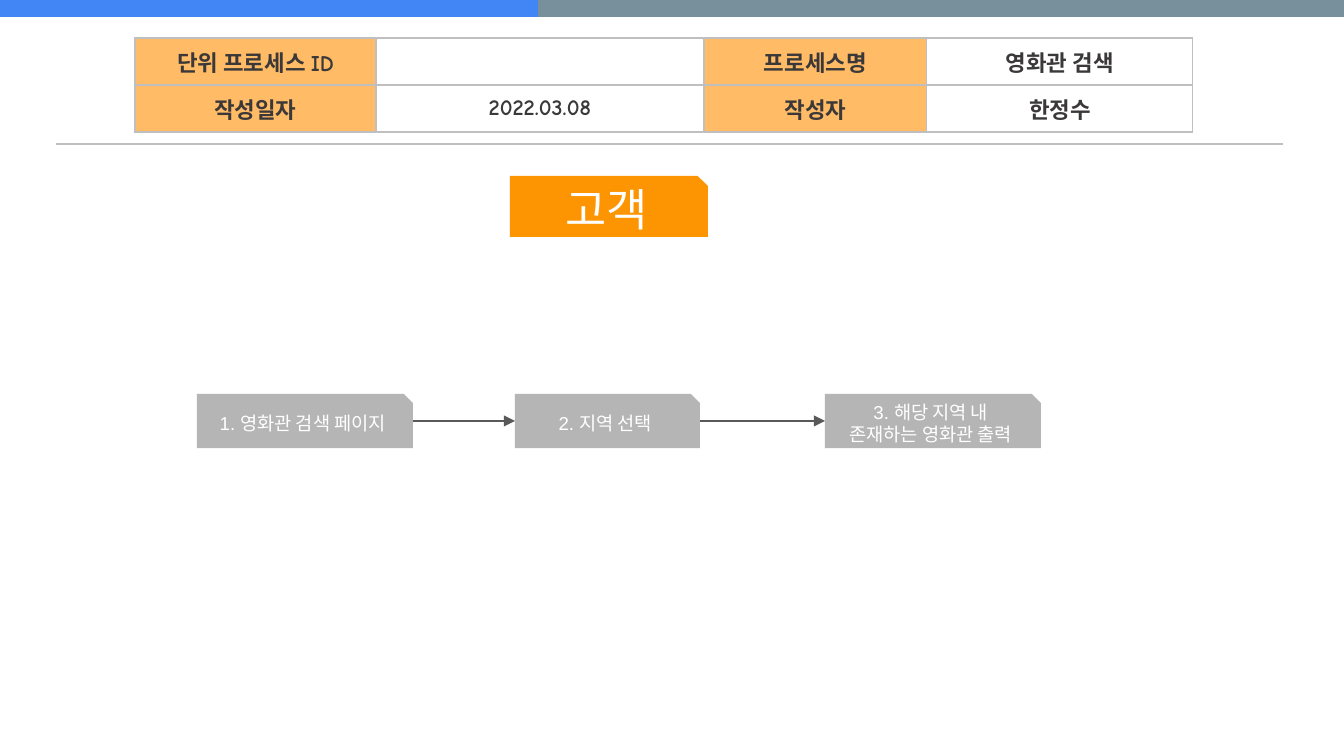
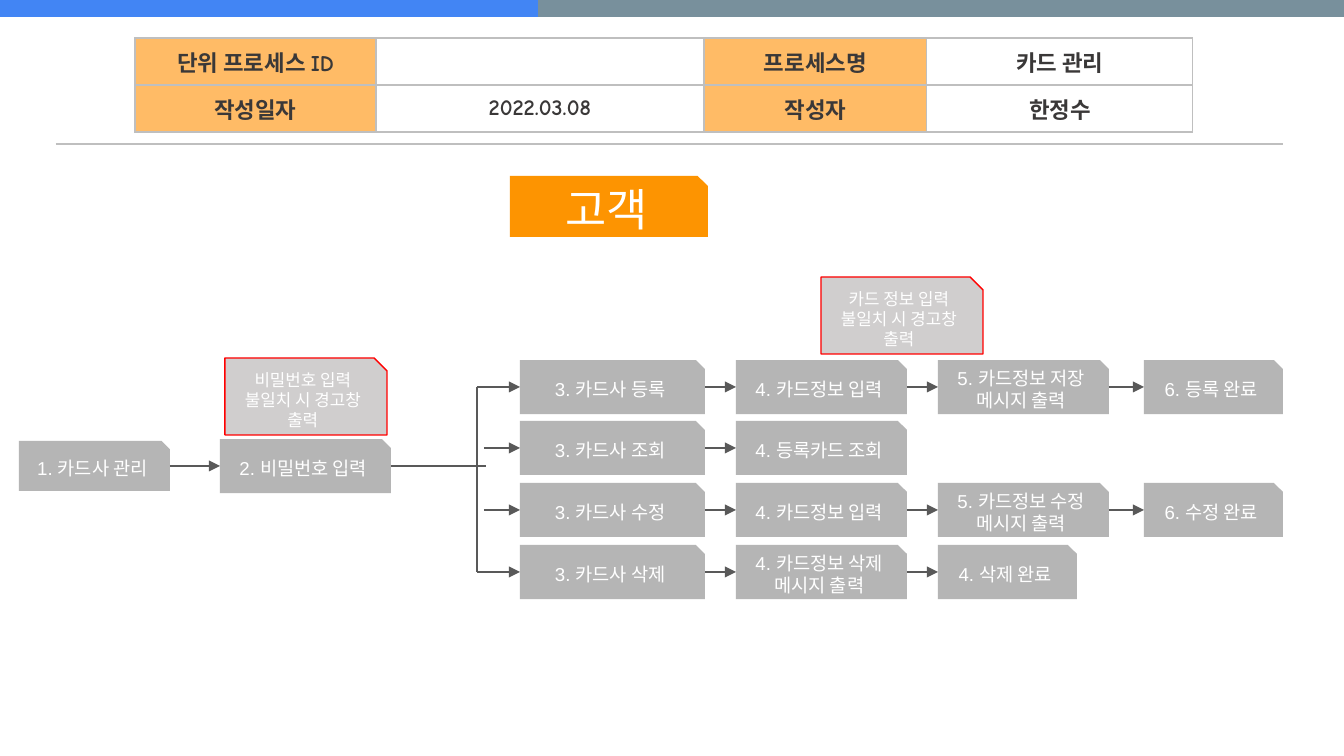
from dataclasses import dataclass
from itertools import pairwise

from lxml import etree
from pptx import Presentation
from pptx.dml.color import RGBColor
from pptx.enum.shapes import MSO_CONNECTOR, MSO_SHAPE
from pptx.enum.text import MSO_ANCHOR, PP_ALIGN
from pptx.oxml.ns import qn
from pptx.util import Emu, Pt

RECTANGLE = MSO_SHAPE.RECTANGLE
SNIPPED = MSO_SHAPE.SNIP_1_RECTANGLE
STRAIGHT = MSO_CONNECTOR.STRAIGHT
CENTER = PP_ALIGN.CENTER
MIDDLE = MSO_ANCHOR.MIDDLE
LEFT_SIDE, RIGHT_SIDE = 1, 3

COLORS = {
    "blue": "4285F4",
    "slate": "78909C",
    "rule": "BFBFBF",
    "label": "FFAB40",
    "white": "FFFFFF",
    "ink": "3A3838",
    "actor": "FD9401",
    "step": "B5B5B5",
    "warning": "D0CECE",
    "alert": "FF0000",
    "arrow": "595959",
}
BODY_FONT = "Arial"
TABLE_FONT = "Comic Neue"

# One px is 1/134.4 inch
SLIDE_W, SLIDE_H = 1344, 756
BAND_COLORS = ("blue", "blue", "slate", "slate", "slate")
BAND_H = 17
TABLE_COLUMNS = (241, 328, 223, 266)
TABLE_ROW_H = 47
STEP_H = 54


@dataclass(frozen=True)
class Box:
    left: int
    top: int
    width: int
    height: int
    text: str = ""
    fill: str = "step"
    size: int = 10
    outline: str | None = None


def px(value: float) -> Emu:
    return Emu(round(value * 914400 / 134.4))


def rgb(color: str) -> RGBColor:
    return RGBColor.from_string(COLORS[color])


def add_run(paragraph, text: str, size: int, font: str, color: str,
            bold: bool = False) -> None:
    paragraph.alignment = CENTER
    run = paragraph.add_run()
    run.text = text
    run.font.size = Pt(size)
    run.font.name = font
    run.font.bold = bold
    run.font.color.rgb = rgb(color)


def add_box(slide, box: Box, kind=SNIPPED):
    shape = slide.shapes.add_shape(
        kind, px(box.left), px(box.top), px(box.width), px(box.height))
    shape.shadow.inherit = False
    shape.fill.solid()
    shape.fill.fore_color.rgb = rgb(box.fill)
    if box.outline:
        shape.line.color.rgb = rgb(box.outline)
        shape.line.width = Pt(0.75)
    else:
        shape.line.fill.background()
    if box.text:
        frame = shape.text_frame
        frame.word_wrap = True
        frame.vertical_anchor = MIDDLE
        add_run(frame.paragraphs[0], box.text, box.size, BODY_FONT, "white")
    return shape


def add_line(slide, start: tuple[int, int], end: tuple[int, int],
             color: str = "arrow", width: float = 0.75, arrow: bool = False,
             source=None, target=None) -> None:
    line = slide.shapes.add_connector(
        STRAIGHT, px(start[0]), px(start[1]), px(end[0]), px(end[1]))
    if source is not None:
        line.begin_connect(source, RIGHT_SIDE)
    if target is not None:
        line.end_connect(target, LEFT_SIDE)
    line.line.color.rgb = rgb(color)
    line.line.width = Pt(width)
    properties = line._element.spPr
    if arrow:
        etree.SubElement(properties.find(qn("a:ln")), qn("a:tailEnd"),
                         type="triangle")
    etree.SubElement(properties, qn("a:effectLst"))


def add_flow(slide, steps: list[Box]) -> list:
    """Draw steps from left to right, joined by arrows."""
    shapes = [add_box(slide, step) for step in steps]
    for source, target in pairwise(shapes):
        add_line(slide, (0, 0), (0, 0), arrow=True, source=source, target=target)
    return shapes


def style_cell(cell, text: str, is_label: bool) -> None:
    cell.margin_left = cell.margin_right = px(11)
    cell.margin_top = cell.margin_bottom = px(5)
    cell.vertical_anchor = MIDDLE
    paragraph = cell.text_frame.paragraphs[0]
    if text:
        add_run(paragraph, text, 12, TABLE_FONT, "ink", bold=True)
    else:
        etree.SubElement(paragraph._p, qn("a:endParaRPr"), sz="1200")

    # Borders come before the fill
    properties = cell._tc.get_or_add_tcPr()
    for side in ("lnL", "lnR", "lnT", "lnB"):
        border = etree.SubElement(properties, qn(f"a:{side}"), w=str(Pt(0.75)))
        paint = etree.SubElement(border, qn("a:solidFill"))
        etree.SubElement(paint, qn("a:srgbClr"), val=COLORS["rule"])
    cell.fill.solid()
    cell.fill.fore_color.rgb = rgb("label" if is_label else "white")
    if is_label:
        color = properties.find(qn("a:solidFill")).find(qn("a:srgbClr"))
        etree.SubElement(color, qn("a:alpha"), val="80000")


def add_process_table(slide, process_name: str) -> None:
    rows = (
        ("단위 프로세스 ID", "", "프로세스명", process_name),
        ("작성일자", "2022.03.08", "작성자", "한정수"),
    )
    table = slide.shapes.add_table(
        len(rows), len(TABLE_COLUMNS), px(135), px(38),
        px(sum(TABLE_COLUMNS)), px(TABLE_ROW_H * len(rows))).table
    table.first_row = False
    table.horz_banding = False
    for column, width in zip(table.columns, TABLE_COLUMNS):
        column.width = px(width)
    for r, texts in enumerate(rows):
        table.rows[r].height = px(TABLE_ROW_H)
        for c, text in enumerate(texts):
            style_cell(table.cell(r, c), text, is_label=c % 2 == 0)


def add_process_slide(deck, process_name: str):
    """Add a slide with the shared band, table, rule and actor."""
    slide = deck.slides.add_slide(deck.slide_layouts[6])
    edges = [round(i * SLIDE_W / len(BAND_COLORS))
             for i in range(len(BAND_COLORS) + 1)]
    for (left, right), color in zip(pairwise(edges), BAND_COLORS):
        add_box(slide, Box(left, 0, right - left, BAND_H, fill=color), RECTANGLE)
    add_line(slide, (56, 144), (1283, 144), "rule", 1.5)
    add_process_table(slide, process_name)
    add_box(slide, Box(510, 176, 198, 61, "고객", "actor", 24))
    return slide


def build_theater_search(deck) -> None:
    slide = add_process_slide(deck, "영화관 검색")
    steps = (
        (197, 216, "1. 영화관 검색 페이지"),
        (515, 185, "2. 지역 선택"),
        (825, 216, "3. 해당 지역 내 존재하는 영화관 출력"),
    )
    add_flow(slide, [Box(left, 394, width, STEP_H, text)
                     for left, width, text in steps])


def build_card_management(deck) -> None:
    slide = add_process_slide(deck, "카드 관리")

    # Entry steps
    _, password = add_flow(slide, [
        Box(19, 441, 151, 50, "1. 카드사 관리"),
        Box(220, 439, 171, STEP_H, "2. 비밀번호 입력"),
    ])

    # One row of steps for each branch
    columns = ((520, 185), (736, 171), (938, 171), (1144, 139))
    branches = (
        ("3. 카드사 등록", "4. 카드정보 입력",
         "5. 카드정보 저장 메시지 출력", "6. 등록 완료"),
        ("3. 카드사 조회", "4. 등록카드 조회"),
        ("3. 카드사 수정", "4. 카드정보 입력",
         "5. 카드정보 수정 메시지 출력", "6. 수정 완료"),
        ("3. 카드사 삭제", "4. 카드정보 삭제 메시지 출력", "4. 삭제 완료"),
    )
    final_width = columns[-1][1]
    trunk_x, inner_x = 477, 484
    middles = []
    for row, texts in enumerate(branches):
        top = 360 + row * 185 // 3
        middle = top + STEP_H // 2
        middles.append(middle)
        steps = [
            Box(left, top, final_width if text.endswith("완료") else width,
                STEP_H, text)
            for (left, width), text in zip(columns, texts)
        ]
        first_step = add_flow(slide, steps)[0]
        is_outer = row in (0, len(branches) - 1)
        start_x = trunk_x if is_outer else inner_x
        add_line(slide, (start_x, middle), (columns[0][0], middle),
                 arrow=True, target=first_step)

    # Trunk that splits into the branches
    add_line(slide, (trunk_x, middles[0]), (trunk_x, middles[-1]))
    add_line(slide, (391, 466), (486, 466), source=password)

    # Warnings shown on wrong input
    warnings = (
        (225, 358, "비밀번호 입력 불일치 시 경고창 출력"),
        (821, 277, "카드 정보 입력 불일치 시 경고창 출력"),
    )
    for left, top, text in warnings:
        add_box(slide, Box(left, top, 162, 77, text, "warning", 9, "alert"))


def main() -> None:
    deck = Presentation()
    deck.slide_width = px(SLIDE_W)
    deck.slide_height = px(SLIDE_H)
    build_theater_search(deck)
    build_card_management(deck)
    deck.save("out.pptx")


if __name__ == "__main__":
    main()
